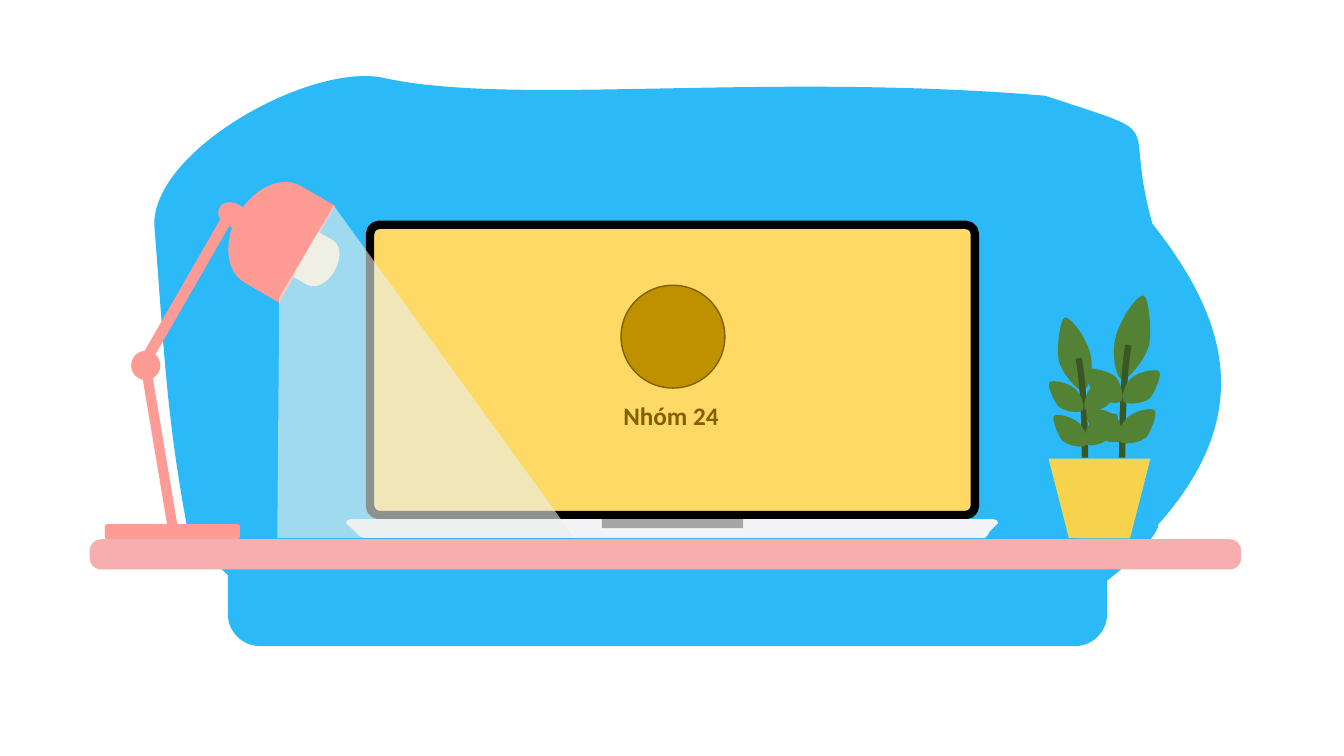
from dataclasses import dataclass

from lxml import etree
from pptx import Presentation
from pptx import util as u
from pptx.dml.color import RGBColor
from pptx.enum import shapes, text
from pptx.oxml.ns import qn


@dataclass(frozen=True)
class Theme:
    sky: str = "2CB9F8"
    paper: str = "FFFFFF"
    screen: str = "FFD966"
    bezel: str = "000000"
    base: str = "F4F3F7"
    notch: str = "A6A6A6"
    leaf: str = "548235"
    stem: str = "385723"
    pot: str = "F6D24D"
    lamp: str = "FE9B95"
    bulb: str = "FCF1D7"
    beam: str = "E8EFEC"
    badge: str = "BF9000"
    ink: str = "806000"
    desk: str = "F6AEAE"
    font: str = "Calibri"
    title_size: int = 18


THEME = Theme()
KIND = shapes.MSO_SHAPE
SLIDE_SIZE = 13.33, 7.5  # inches, the grid unit throughout
TITLE = "Nhóm 24"
TITLE_BOX = 5.73, 3.92, 1.85, 0.4

# Outlines: a start point, then segments of one point (line) or three (curve).
BLOB_BOX = 1.53, 0.75, 10.58, 5.15
BLOB = [
    [(1.53, 2.23)],
    [(1.52, 1.49), (3.06, 0.63), (3.79, 0.77)],
    [(5.08, 1.06), (7.55, 0.71), (10.37, 0.95)],
    [(11.65, 1.38), (11.12, 1.11), (11.43, 2.22)],
    [(12.19, 3.18), (12.45, 4.12), (11.49, 5.2)],
    [(11.49, 5.36), (10.86, 5.91), (10.71, 5.91)],
    [(2.64, 5.91)],
    [(2.49, 5.91), (2.17, 5.69), (1.86, 5.25)],
    [(1.65, 4.13), (1.63, 3.49), (1.53, 2.23)],
]
BASE_BOX = 3.43, 5.15, 6.47, 0.2
BASE = [
    [(3.43, 5.19)],
    [(3.43, 5.17), (3.45, 5.15), (3.49, 5.15)],
    [(9.85, 5.15)],
    [(9.88, 5.15), (9.9, 5.17), (9.9, 5.19)],
    [(9.81, 5.28)],
    [(9.81, 5.3), (9.77, 5.35), (9.73, 5.35)],
    [(3.68, 5.35)],
    [(3.65, 5.35), (3.55, 5.32), (3.55, 5.3)],
]
BEAM_BOX = 2.75, 2.04, 2.95, 3.3
BEAM = [[(2.77, 2.95)], [(3.31, 2.04)], [(5.7, 5.34)], [(2.75, 5.34)]]
LEAF = [  # in shares of the leaf's own box
    [(1, 0.54)],
    [(1, 0.39), (0.63, 0), (0.48, 0)],
    [(0.3, 0), (0, 0.32), (0, 0.54)],
    [(0, 0.76), (0.32, 1), (0.5, 1)],
    [(0.66, 1), (1, 0.71), (1, 0.54)],
]
# Each plant: mirrored, stem box, leaves as (box, rotation); the first leaf is behind the stem.
PLANTS = [
    (True, (10.54, 3.45, 0.22, 2.18), [
        ((10.49, 3.14, 0.32, 0.75), 345.2),
        ((10.8, 3.7, 0.24, 0.43), 46.5),
        ((10.45, 3.72, 0.24, 0.43), 309.5),
        ((10.8, 4.04, 0.24, 0.43), 46.5),
        ((10.49, 4.06, 0.24, 0.43), 311.7)]),
    (False, (11.13, 3.28, 0.23, 2.52), [
        ((11.07, 2.92, 0.34, 0.86), 14.8),
        ((10.82, 3.59, 0.27, 0.46), 313.5),
        ((11.19, 3.61, 0.27, 0.46), 50.5),
        ((10.82, 3.98, 0.27, 0.46), 313.5),
        ((11.15, 4, 0.27, 0.46), 48.3)]),
]
POT_BOX = 10.4, 4.55, 1.01, 0.79
STEM_ARC = 163.643, 0
LAMP = [  # kind, box, colour, rotation
    (KIND.ROUNDED_RECTANGLE, (1.04, 5.2, 1.34, 0.15), THEME.lamp, 0),
    (KIND.ROUNDED_RECTANGLE, (0.76, 4.42, 1.65, 0.1), THEME.lamp, 80.5),
    (KIND.OVAL, (1.3, 3.48, 0.29, 0.29), THEME.lamp, 0),
    (KIND.ROUNDED_RECTANGLE, (1.03, 2.84, 1.61, 0.11), THEME.lamp, 119.9),
    (KIND.FLOWCHART_DELAY, (2.16, 2.01, 0.27, 0.23), THEME.lamp, 206.9),
    (KIND.FLOWCHART_DELAY, (2.31, 1.77, 0.79, 1.11), THEME.lamp, 210),
    (KIND.FLOWCHART_DELAY, (3.01, 2.35, 0.33, 0.51), THEME.bulb, 29.6),
]


def paint(shape, fill, line=None, rotation=0):
    """Fill is a colour or None; line is (colour, points) or None."""
    shape.shadow.inherit = False
    shape.rotation = rotation
    if fill:
        shape.fill.solid()
        shape.fill.fore_color.rgb = RGBColor.from_string(fill)
    else:
        shape.fill.background()
    if line:
        shape.line.color.rgb = RGBColor.from_string(line[0])
        shape.line.width = u.Pt(line[1])
    else:
        shape.line.fill.background()
    return shape


def add_preset(parent, kind, box, fill, line=None, rotation=0, adjust=()):
    shape = parent.add_shape(kind, *map(u.Inches, box))
    for index, value in enumerate(adjust):
        shape.adjustments[index] = value
    return paint(shape, fill, line, rotation)


def add_outline(parent, box, outline, fill, rotation=0):
    """Frame a freeform on the box, then trace the outline with lines and curves."""
    left, top, width, height = map(u.Inches, box)
    builder = parent.build_freeform(left, top)
    builder.add_line_segments(
        [(left + width, top), (left + width, top + height), (left, top + height)])
    shape = builder.convert_to_shape()
    trace = next(shape.element.iter(qn("a:path")))
    for child in list(trace):
        trace.remove(child)
    for index, points in enumerate(outline):
        tag = "a:moveTo" if index == 0 else "a:lnTo" if len(points) == 1 else "a:cubicBezTo"
        segment = etree.SubElement(trace, qn(tag))
        for x, y in points:
            etree.SubElement(segment, qn("a:pt"),
                             x=str(u.Inches(x) - left), y=str(u.Inches(y) - top))
    etree.SubElement(trace, qn("a:close"))
    return paint(shape, fill, rotation=rotation)


def add_leaf(parent, box, rotation, mirrored):
    left, top, width, height = box
    outline = [[(left + width * (1 - x if mirrored else x), top + height * y)
                for x, y in points] for points in LEAF]
    add_outline(parent, box, outline, THEME.leaf, rotation)


def add_plants(parent):
    for mirrored, stem_box, leaves in PLANTS:
        add_leaf(parent, *leaves[0], mirrored)
        stem = add_preset(parent, KIND.ARC, stem_box, None, (THEME.stem, 4.5), adjust=STEM_ARC)
        if not mirrored:
            stem.element.spPr.find(qn("a:xfrm")).set("flipH", "1")
        for leaf in leaves[1:]:
            add_leaf(parent, *leaf, mirrored)
    add_preset(parent, KIND.FLOWCHART_MANUAL_OPERATION, POT_BOX, THEME.pot)


def add_badge(parent):
    add_preset(parent, KIND.OVAL, (6.16, 2.83, 1.03, 1.02), THEME.badge, (THEME.ink, 1))
    frame = parent.add_textbox(*map(u.Inches, TITLE_BOX)).text_frame
    frame.word_wrap = True
    frame.auto_size = text.MSO_AUTO_SIZE.SHAPE_TO_FIT_TEXT
    paragraph = frame.paragraphs[0]
    paragraph.alignment = text.PP_ALIGN.CENTER
    run = paragraph.add_run()
    run.text = TITLE
    formats = {"name": THEME.font, "size": u.Pt(THEME.title_size), "bold": True}
    for name, value in formats.items():
        setattr(run.font, name, value)
    run.font.color.rgb = RGBColor.from_string(THEME.ink)


def main():
    presentation = Presentation()
    presentation.slide_width, presentation.slide_height = map(u.Inches, SLIDE_SIZE)
    slide = presentation.slides.add_slide(presentation.slide_layouts[6])
    scene = slide.shapes
    rounded = KIND.ROUNDED_RECTANGLE

    add_outline(scene, BLOB_BOX, BLOB, THEME.sky)
    add_preset(scene, rounded, (3.67, 2.23, 6, 2.88), THEME.screen,
               (THEME.bezel, 6), adjust=[0.032])
    add_outline(scene, BASE_BOX, BASE, THEME.base)
    add_preset(scene, rounded, (5.97, 5.15, 1.4, 0.09), THEME.notch, adjust=[0])
    add_plants(scene.add_group_shape().shapes)
    lamp = scene.add_group_shape().shapes
    for kind, box, colour, rotation in LAMP:
        add_preset(lamp, kind, box, colour, rotation=rotation)
    beam = add_outline(scene, BEAM_BOX, BEAM, THEME.beam)
    etree.SubElement(next(beam.element.spPr.iter(qn("a:srgbClr"))), qn("a:alpha"), val="61000")
    add_preset(scene, KIND.RECTANGLE, (2.14, 6.18, 9.92, SLIDE_SIZE[1] - 6.18), THEME.paper)
    add_badge(scene.add_group_shape().shapes)
    add_preset(scene, rounded, (2.26, 5.34, 8.72, 1.07), THEME.sky, adjust=[0.298])
    add_preset(scene, rounded, (0.89, 5.35, 11.42, 0.3), THEME.desk, adjust=[0.38])
    presentation.save("out.pptx")


if __name__ == "__main__":
    main()
